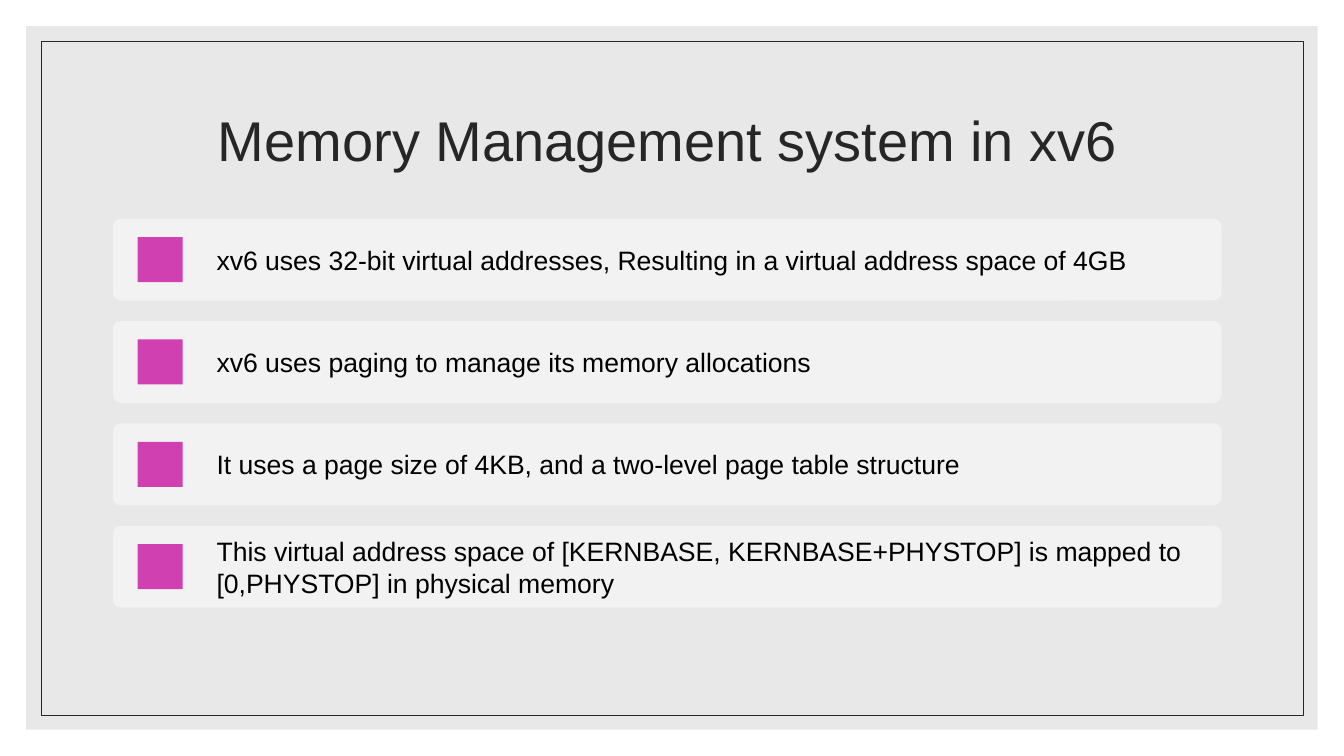
from pptx import Presentation
from pptx.dml.color import RGBColor
from pptx.enum import shapes, text
from pptx.util import Pt

SLIDE_WIDTH, SLIDE_HEIGHT = 960, 540
RECT = shapes.MSO_SHAPE.RECTANGLE
ROUNDED = shapes.MSO_SHAPE.ROUNDED_RECTANGLE
POINTS = [
    "xv6 uses 32-bit virtual addresses, Resulting in a virtual address space of 4GB",
    "xv6 uses paging to manage its memory allocations",
    "It uses a page size of 4KB, and a two-level page table structure",
    "This virtual address space of [KERNBASE, KERNBASE+PHYSTOP] is mapped to "
    "[0,PHYSTOP] in physical memory",
]


def color(value):
    return RGBColor.from_string(value)


def add_block(parent, kind, box, fill=None, line=None):
    block = parent.add_shape(kind, *map(Pt, box))
    block.shadow.inherit = False
    if fill:
        block.fill.solid()
        block.fill.fore_color.rgb = color(fill)
    else:
        block.fill.background()
    if line:
        block.line.color.rgb = color(line)
        block.line.width = Pt(0.5)
    else:
        block.line.fill.background()
    return block


def add_words(parent, words, box, size, ink, align=text.PP_ALIGN.LEFT,
              spacing=1.0, inset=6.5):
    frame = parent.add_textbox(*map(Pt, box)).text_frame
    frame.word_wrap = True
    frame.vertical_anchor = text.MSO_ANCHOR.MIDDLE
    frame.margin_left = frame.margin_right = Pt(inset)
    frame.margin_top = frame.margin_bottom = Pt(inset)
    paragraph = frame.paragraphs[0]
    paragraph.alignment = align
    paragraph.line_spacing = spacing
    run = paragraph.add_run()
    run.text = words
    run.font.name = "Arial"
    run.font.size = Pt(size)
    run.font.color.rgb = color(ink)


def add_backdrop(parent, width, height):
    for margin, fill, line in ((18.72, "E8E8E8", None), (29.3, None, "262626")):
        box = (margin, margin, width - 2 * margin, height - 2 * margin)
        add_block(parent, RECT, box, fill, line)


def add_title(parent, box):
    add_words(parent, "Memory Management system in xv6", box, 40, "262626",
              align=text.PP_ALIGN.CENTER, spacing=0.9)


def add_point(parent, words, box):
    left, top, width, height = box
    marker_size, text_indent = 32.2, 67.6
    card = add_block(parent, ROUNDED, box, "F2F2F2")
    card.adjustments[0] = 0.1
    marker_top = top + (height - marker_size) / 2
    add_block(parent, RECT, (left + 17.7, marker_top, marker_size, marker_size),
              "D040B1")
    add_words(parent, words,
              (left + text_indent, top, width - text_indent, height), 19, "000000")


def add_points(parent, box):
    left, top, width, height = box
    card_height = 58.5
    pitch = (height - card_height) / (len(POINTS) - 1)
    for row, words in enumerate(POINTS):
        add_point(parent, words, (left, top + row * pitch, width, card_height))


def main():
    deck = Presentation()
    deck.slide_width, deck.slide_height = Pt(SLIDE_WIDTH), Pt(SLIDE_HEIGHT)
    slide = deck.slides.add_slide(deck.slide_layouts[6])
    add_backdrop(slide.shapes, SLIDE_WIDTH, SLIDE_HEIGHT)
    add_title(slide.shapes, (80.6, 48.2, 792, 108))
    add_points(slide.shapes.add_group_shape().shapes, (80.6, 156.2, 792, 277.9))
    deck.save("out.pptx")


if __name__ == "__main__":
    main()
